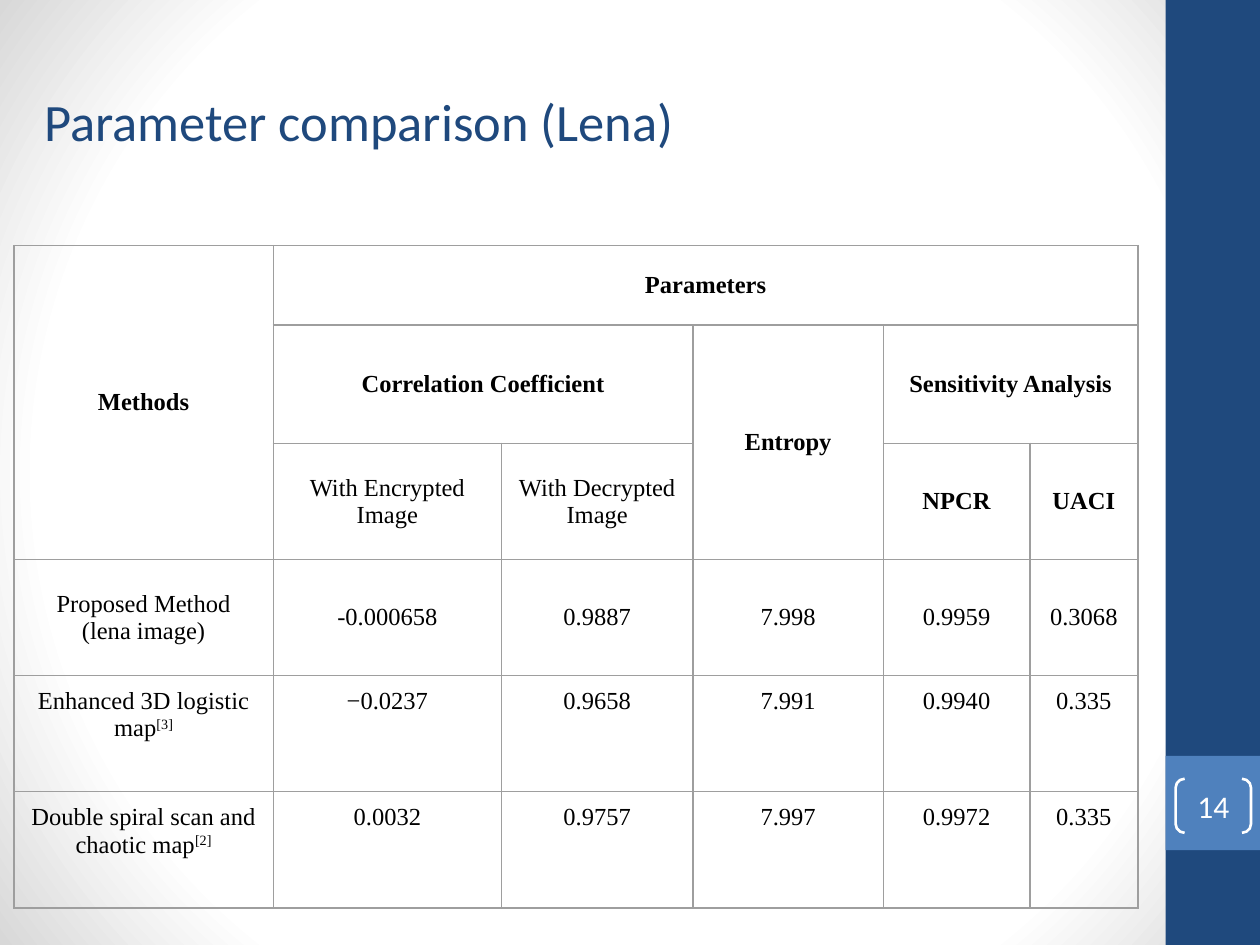
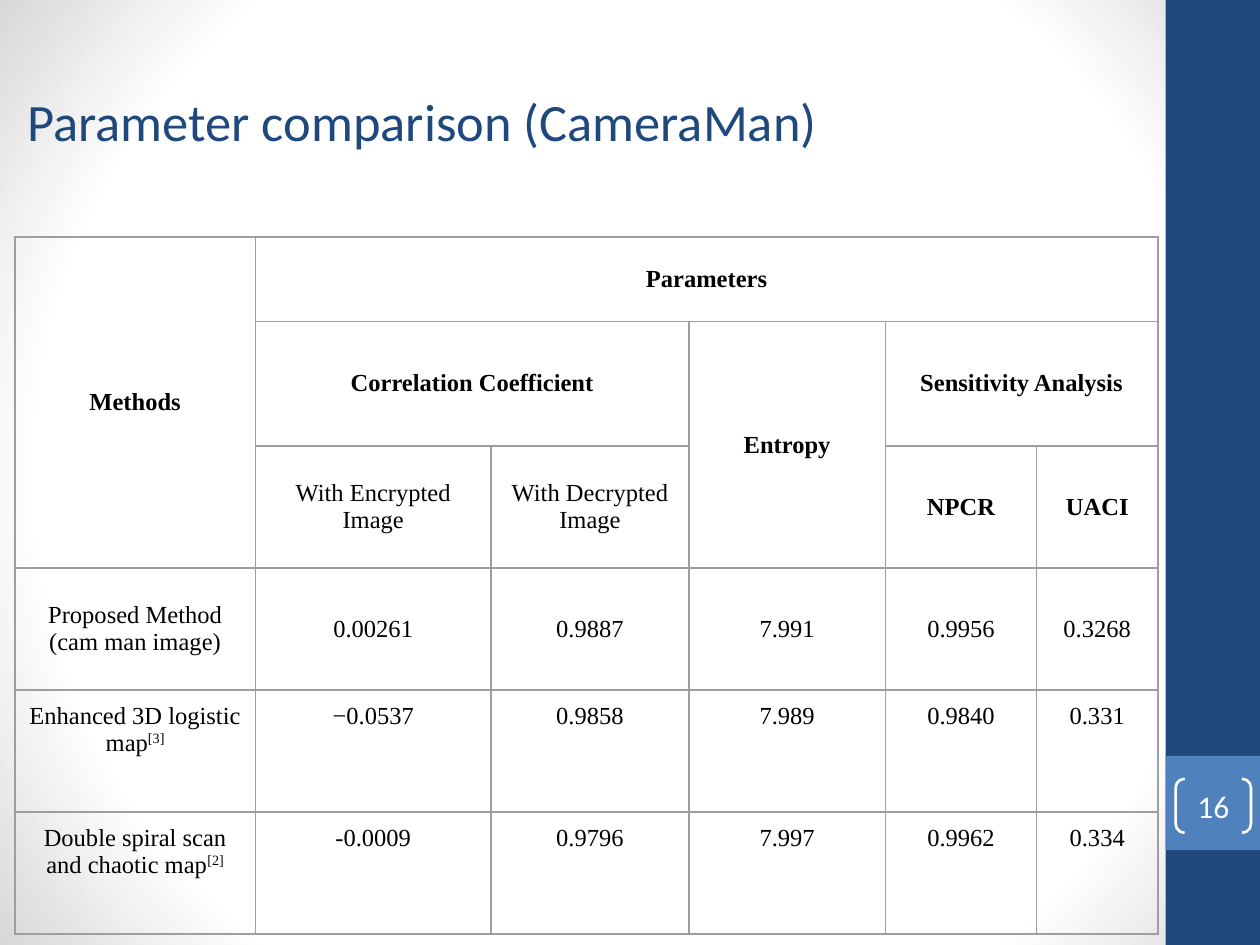
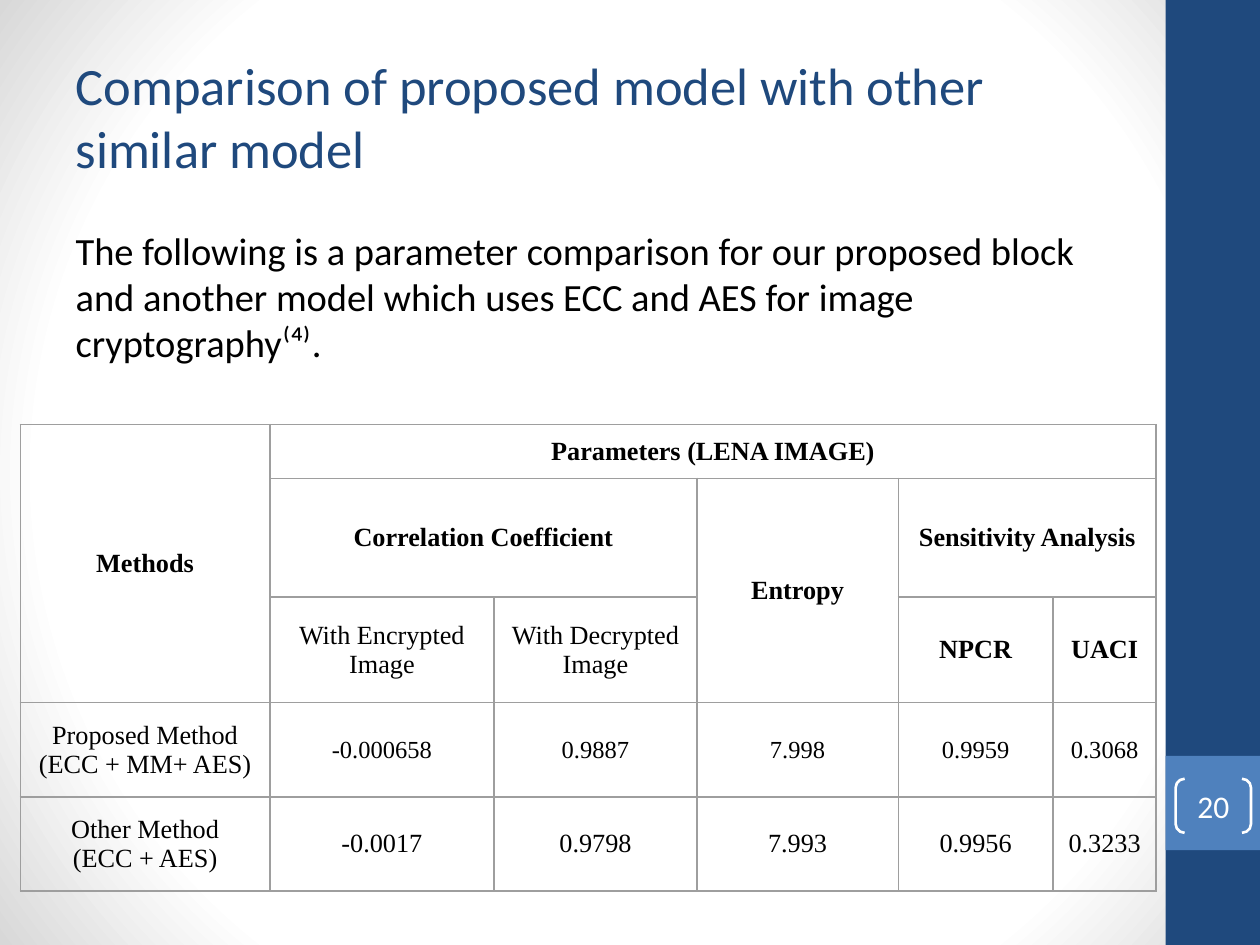
from dataclasses import dataclass

from lxml import etree
from pptx import Presentation
from pptx import util as u
from pptx.dml.color import RGBColor
from pptx.enum import shapes, text
from pptx.oxml import parse_xml
from pptx.oxml.ns import nsdecls, qn


@dataclass(frozen=True)
class Theme:
    navy: str = "1F497D"
    blue: str = "4F81BD"
    white: str = "FFFFFF"
    black: str = "000000"
    edge: str = "D8D8D8"
    grid: str = "9E9E9E"
    sans: str = "Calibri"
    serif: str = "Times New Roman"
    title: int = 30
    body: int = 22
    number: int = 18
    cell: int = 14
    large_cell: int = 15


T = Theme()
SLIDE = (25.4, 19.05)
BAND = (23.5, 0, 1.9, 19.05)
TITLE_SIZE = (21.16, 3.17)
BODY = (1.27, 4.45, 21.16, 13.34)
HEADER_ROWS = 3
SPANS = [(0, 0, 2, 0), (0, 1, 0, 5), (1, 1, 1, 2), (1, 3, 2, 3), (1, 4, 1, 5)]


def rgb(color):
    return RGBColor.from_string(color)


def place(sp, box):
    sp.left, sp.top, sp.width, sp.height = map(u.Cm, box)


def format_runs(tf, font, size, color, bold=False):
    for p in tf.paragraphs:
        for r in p.runs:
            r.font.name, r.font.size, r.font.bold = font, u.Pt(size), bold
            r.font.color.rgb = rgb(color)


def set_background(master):
    master.background.fill.solid()
    bg = master.element.find(".//" + qn("p:bgPr"))
    stops = "".join(
        f'<a:gs pos="{pos}"><a:srgbClr val="{color}"/></a:gs>'
        for pos, color in [(0, T.white), (75000, T.white), (100000, T.edge)]
    )
    bg.replace(bg[0], parse_xml(
        f'<a:gradFill {nsdecls("a")} rotWithShape="1"><a:gsLst>{stops}</a:gsLst>'
        '<a:path path="circle"><a:fillToRect l="50000" t="50000" r="50000" b="50000"/>'
        "</a:path></a:gradFill>"
    ))


def add_master_band(master, s, box):
    left, top, width, height = box
    square = (left, top + 0.8 * height, width, width)
    for i, (area, color) in enumerate([(box, T.navy), (square, T.blue)]):
        sp = s.shapes.add_shape(shapes.MSO_SHAPE.RECTANGLE, *map(u.Cm, area))
        sp.shadow.inherit = False
        sp.fill.solid()
        sp.fill.fore_color.rgb = rgb(color)
        sp.line.fill.background()
        sp.element.nvSpPr.cNvPr.set("id", str(20 + i))
        master.shapes.element.insert(2 + i, sp.element)


def add_title(s, title, left, top):
    sp = s.shapes.title
    place(sp, (left, top, *TITLE_SIZE))
    tf = sp.text_frame
    tf.text = title
    tf.auto_size = text.MSO_AUTO_SIZE.NONE
    tf.vertical_anchor = text.MSO_ANCHOR.MIDDLE
    tf.paragraphs[0].alignment = text.PP_ALIGN.LEFT
    format_runs(tf, T.sans, T.title, T.navy)


def add_body(s, body, box):
    sp = s.placeholders[1]
    place(sp, box)
    tf = sp.text_frame
    tf.text = body
    tf.auto_size = text.MSO_AUTO_SIZE.NONE
    p = tf.paragraphs[0]
    p.space_before = u.Pt(3.6)
    pPr = p._p.get_or_add_pPr()
    pPr.set("marL", "0")
    pPr.set("indent", "0")
    etree.SubElement(pPr, qn("a:buNone"))
    format_runs(tf, T.sans, T.body, T.black)


def add_number(s, number, band):
    left, top, width, height = band
    box = (left + 0.2, top + 15.7, width - 0.38, 1.09)
    sp = s.shapes.add_shape(shapes.MSO_SHAPE.DOUBLE_BRACKET, *map(u.Cm, box))
    sp.shadow.inherit = False
    sp.fill.background()
    sp.line.color.rgb = rgb(T.white)
    sp.line.width = u.Pt(1.5)
    tf = sp.text_frame
    tf.text = str(number)
    tf.margin_left = tf.margin_right = tf.margin_top = tf.margin_bottom = 0
    tf.vertical_anchor = text.MSO_ANCHOR.MIDDLE
    tf.paragraphs[0].alignment = text.PP_ALIGN.CENTER
    format_runs(tf, T.sans, T.number, T.white)


def draw_borders(cell):
    tcPr = cell._tc.get_or_add_tcPr()
    for side in ("lnL", "lnR", "lnT", "lnB"):
        tcPr.append(parse_xml(
            f'<a:{side} {nsdecls("a")} w="12700"><a:solidFill>'
            f'<a:srgbClr val="{T.grid}"/></a:solidFill></a:{side}>'
        ))


def fill_cell(cell, value, size, bold, anchor):
    content, _, reference = value.partition("^")
    tf = cell.text_frame
    tf.text = content
    if reference:
        r = tf.paragraphs[-1].add_run()
        r.text = reference
        r.font._element.set("baseline", "30000")
    for p in tf.paragraphs:
        p.alignment = text.PP_ALIGN.CENTER
    cell.vertical_anchor = anchor
    format_runs(tf, T.serif, size, T.black, bold)


def add_comparison(s, left, top, widths, heights, heading, methods,
                   size=T.cell, first_size=T.cell, top_rows=()):
    rows = [
        ["Methods", heading, "", "", "", ""],
        ["", "Correlation Coefficient", "", "Entropy", "Sensitivity Analysis", ""],
        ["", "With Encrypted Image", "With Decrypted Image", "", "NPCR", "UACI"],
        *methods,
    ]
    frame = s.shapes.add_table(len(rows), len(widths), u.Cm(left), u.Cm(top),
                               u.Cm(sum(widths)), u.Cm(sum(heights)))
    table = frame.table
    table.first_row = table.horz_banding = False
    for column, width in zip(table.columns, widths):
        column.width = u.Cm(width)
    for row, height in zip(table.rows, heights):
        row.height = u.Cm(height)
    for i, row in enumerate(rows):
        anchor = text.MSO_ANCHOR.TOP if i in top_rows else text.MSO_ANCHOR.MIDDLE
        for j, value in enumerate(row):
            cell = table.cell(i, j)
            cell.margin_left = cell.margin_right = u.Cm(0.25)
            cell.margin_top = cell.margin_bottom = u.Cm(0.25)
            draw_borders(cell)
            cell.fill.background()
            if value:
                bold = i < HEADER_ROWS and not value.startswith("With")
                is_first_value = i == HEADER_ROWS and j > 0
                fill_cell(cell, value, first_size if is_first_value else size, bold, anchor)
    for r1, c1, r2, c2 in SPANS:
        table.cell(r1, c1).merge(table.cell(r2, c2))


def add_slide(prs, number, title, left, top, body=None):
    s = prs.slides.add_slide(prs.slide_layouts[1 if body else 5])
    add_title(s, title, left, top)
    if body:
        add_body(s, body, BODY)
    add_number(s, number, BAND)
    return s


def main():
    prs = Presentation()
    prs.slide_width, prs.slide_height = map(u.Cm, SLIDE)
    set_background(prs.slide_master)

    s = add_slide(prs, 14, "Parameter comparison (Lena)", 0.64, 0.84)
    add_master_band(prs.slide_master, s, BAND)
    add_comparison(
        s, 0.28, 4.95, [5.23, 4.6, 3.86, 3.84, 2.95, 2.18],
        [1.6, 2.39] + [2.34] * 4, "Parameters",
        [
            ["Proposed Method\n(lena image)", "-0.000658", "0.9887", "7.998", "0.9959", "0.3068"],
            ["Enhanced 3D logistic map^[3]", "−0.0237", "0.9658", "7.991", "0.9940", "0.335"],
            ["Double spiral scan and chaotic map^[2]", "0.0032", "0.9757", "7.997", "0.9972", "0.335"],
        ],
        top_rows=(4, 5),
    )

    s = add_slide(prs, 16, "Parameter comparison (CameraMan)", 0.3, 0.84)
    add_comparison(
        s, 0.3, 4.78, [4.85, 4.75, 3.99, 3.96, 3.05, 2.44],
        [1.7, 2.51] + [2.46] * 4, "Parameters",
        [
            ["Proposed Method\n(cam man image)", "0.00261", "0.9887", "7.991", "0.9956", "0.3268"],
            ["Enhanced 3D logistic map^[3]", "−0.0537", "0.9858", "7.989", "0.9840", "0.331"],
            ["Double spiral scan and chaotic map^[2]", "-0.0009", "0.9796", "7.997", "0.9962", "0.334"],
        ],
        top_rows=(4, 5),
    )

    s = add_slide(
        prs, 20, "Comparison of proposed model with other similar model", 1.27, 0.76,
        "The following is a parameter comparison for our proposed block and another "
        "model which uses ECC and AES for image cryptography⁽⁴⁾.",
    )
    add_comparison(
        s, 0.41, 8.56, [5.03, 4.52, 4.09, 4.06, 3.12, 2.08],
        [0.74, 2.39, 2.13, 1.9, 1.9], "Parameters (LENA IMAGE)",
        [
            ["Proposed Method\n(ECC + MM+ AES)", "-0.000658", "0.9887", "7.998", "0.9959", "0.3068"],
            ["Other Method\n(ECC + AES)", "-0.0017", "0.9798", "7.993", "0.9956", "0.3233"],
        ],
        size=T.large_cell,
    )
    prs.save("out.pptx")


if __name__ == "__main__":
    main()
